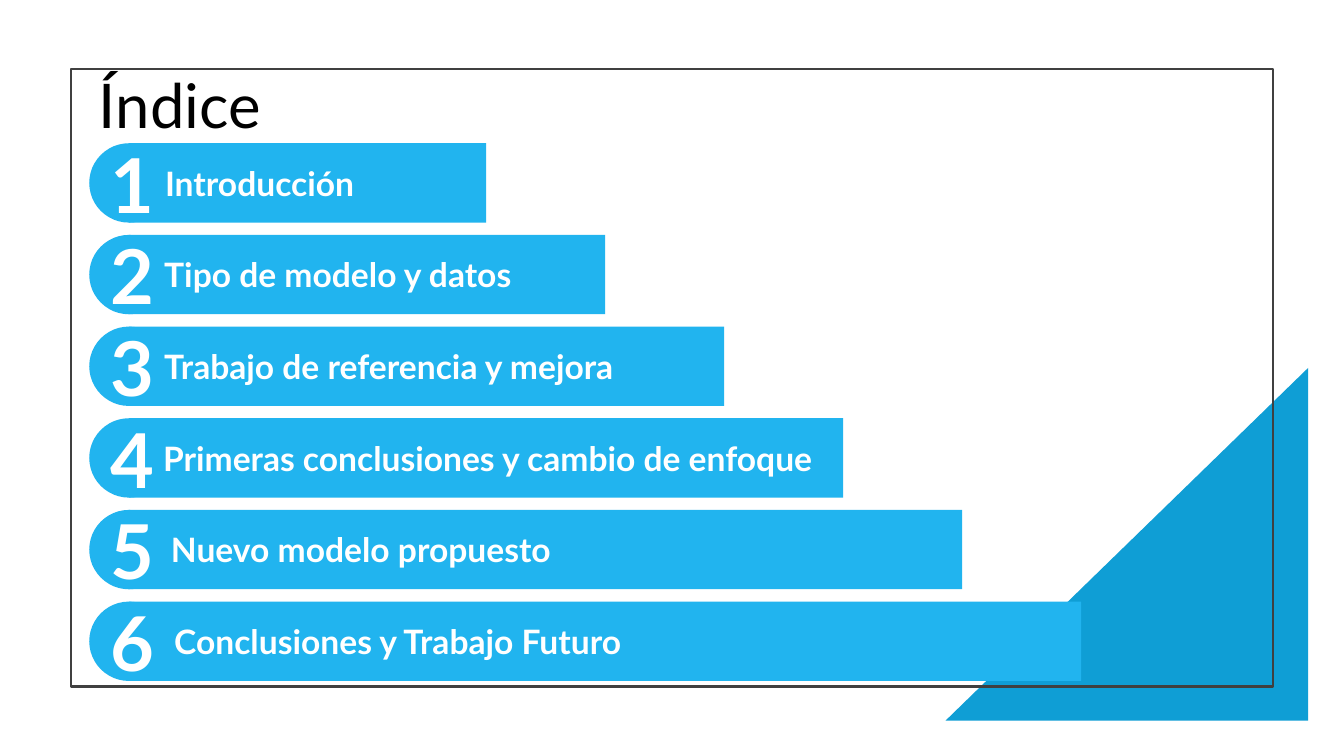
"""Builds the index slide: six numbered bars that grow in length."""
from dataclasses import dataclass

from pptx import Presentation
from pptx.dml.color import RGBColor
from pptx.enum.shapes import MSO_SHAPE
from pptx.enum.text import MSO_ANCHOR, MSO_AUTO_SIZE, PP_ALIGN
from pptx.util import Cm, Pt

RECTANGLE, OVAL, TRIANGLE = MSO_SHAPE.RECTANGLE, MSO_SHAPE.OVAL, MSO_SHAPE.RIGHT_TRIANGLE
LEFT, CENTER, MIDDLE = PP_ALIGN.LEFT, PP_ALIGN.CENTER, MSO_ANCHOR.MIDDLE
GROW = MSO_AUTO_SIZE.SHAPE_TO_FIT_TEXT


@dataclass(frozen=True)
class Theme:
    font: str = "Lato"
    black: RGBColor = RGBColor(0x00, 0x00, 0x00)
    white: RGBColor = RGBColor(0xFF, 0xFF, 0xFF)
    bar: RGBColor = RGBColor(0x21, 0xB4, 0xEF)
    corner: RGBColor = RGBColor(0x0F, 0x9E, 0xD5)
    frame: RGBColor = RGBColor(0x40, 0x40, 0x40)
    title_size: Pt = Pt(44)
    number_size: Pt = Pt(54)
    label_size: Pt = Pt(24)


THEME = Theme()

prs = Presentation()
prs.slide_width, prs.slide_height = Cm(33.87), Cm(19.05)
slide = prs.slides.add_slide(prs.slide_layouts[5])


def add_block(kind, left, top, width, height, color=None):
    block = slide.shapes.add_shape(kind, Cm(left), Cm(top), Cm(width), Cm(height))
    block.shadow.inherit = False
    block.line.fill.background()
    if color is None:
        block.fill.background()
    else:
        block.fill.solid()
        block.fill.fore_color.rgb = color
    return block


def write(paragraph, text, size, color, bold, align):
    paragraph.alignment = align
    run = paragraph.add_run()
    run.text = text
    run.font.name = THEME.font
    run.font.size = size
    run.font.bold = bold
    run.font.color.rgb = color


corner = add_block(TRIANGLE, 23.83, 9.27, 9.14, 8.89, THEME.corner)
corner._element.spPr.xfrm.set("flipH", "1")

frame = add_block(RECTANGLE, 1.78, 1.73, 30.3, 15.57)
frame.line.color.rgb = THEME.frame
frame.line.width = Pt(1.5)

title = slide.shapes.title
title.left, title.top, title.width, title.height = Cm(2.24), Cm(1.65), Cm(22.43), Cm(2.16)
title.text_frame.vertical_anchor = MIDDLE
heading = title.text_frame.paragraphs[0]
heading.line_spacing = 0.9
write(heading, "Índice", THEME.title_size, THEME.black, False, LEFT)

sections = [
    ("Introducción", 3.91, 7.57),
    ("Tipo de modelo y datos", 3.89, 11.35),
    ("Trabajo de referencia y mejora", 3.89, 12.07),
    ("Primeras conclusiones y cambio de enfoque", 3.86, 17.78),
    ("Nuevo modelo propuesto", 4.06, 16.79),
    ("Conclusiones y Trabajo Futuro", 4.14, 16.79),
]
FIRST_TOP, PITCH, BAR_HEIGHT = 3.61, 2.31, 2
FIRST_LENGTH, LENGTH_STEP = 9, 3

for index, (section, label_left, label_width) in enumerate(sections):
    top = FIRST_TOP + index * PITCH
    add_block(RECTANGLE, 3.25, top, FIRST_LENGTH + index * LENGTH_STEP, BAR_HEIGHT, THEME.bar)

    number = add_block(OVAL, 2.25, top, BAR_HEIGHT, BAR_HEIGHT, THEME.bar)
    number.text_frame.vertical_anchor = MIDDLE
    write(number.text_frame.paragraphs[0], str(index + 1),
          THEME.number_size, THEME.white, True, CENTER)

    label = slide.shapes.add_textbox(Cm(label_left), Cm(top + 0.36), Cm(label_width), Cm(1.28))
    label.text_frame.word_wrap = True
    label.text_frame.auto_size = GROW
    write(label.text_frame.paragraphs[0], section, THEME.label_size, THEME.white, True, LEFT)

prs.save("out.pptx")
